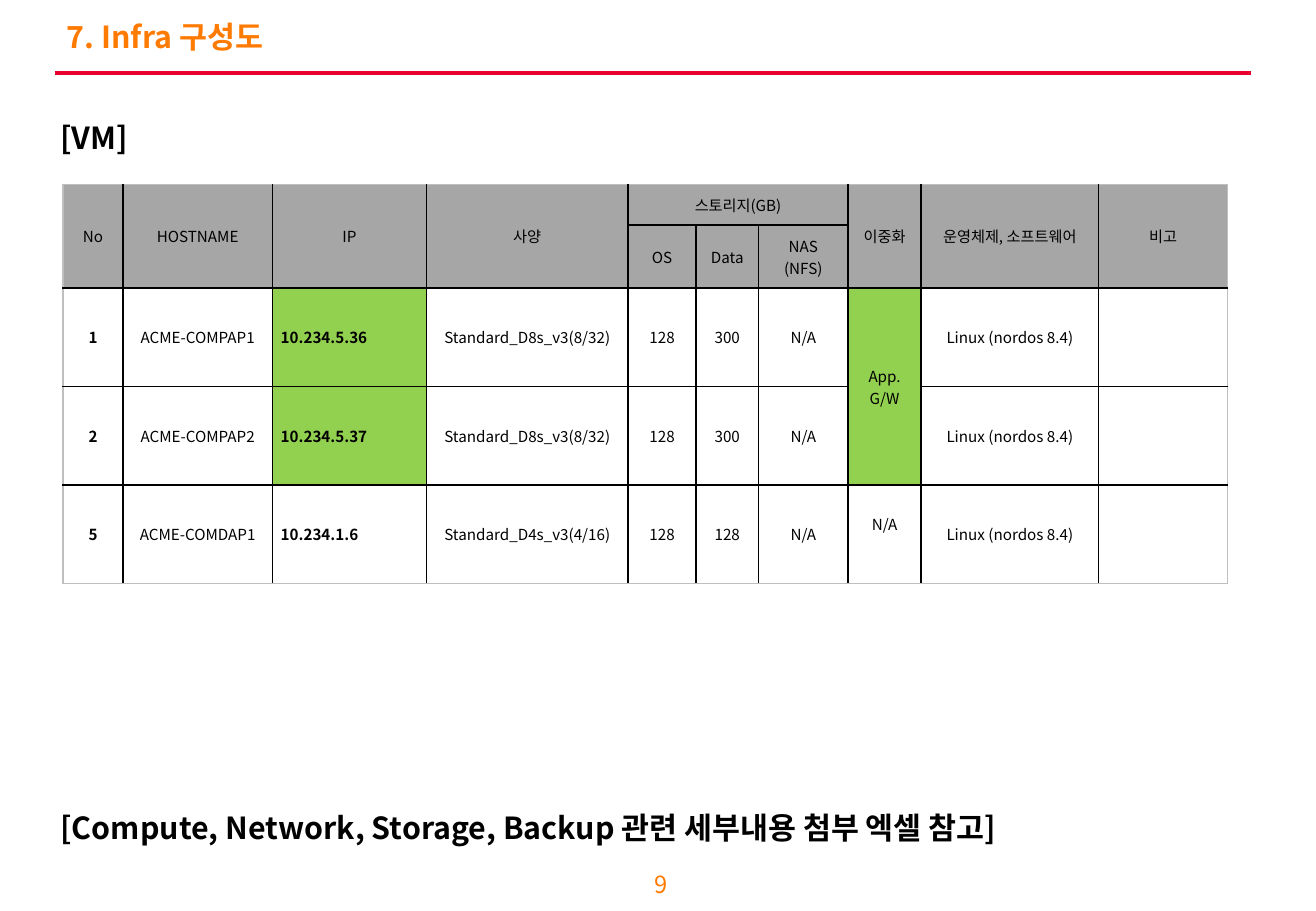
from lxml.etree import SubElement
from pptx import Presentation
from pptx.dml.color import RGBColor
from pptx.enum.shapes import MSO_CONNECTOR as Connector
from pptx.enum.text import MSO_ANCHOR as Anchor, PP_ALIGN as Align
from pptx.oxml.ns import qn
from pptx.util import Pt

FONT = "Noto Sans CJK KR"
ORANGE = RGBColor(0xFF, 0x7A, 0x00)
RED = RGBColor(0xEA, 0x00, 0x2C)
BLACK = RGBColor(0, 0, 0)
WHITE = RGBColor(0xFF, 0xFF, 0xFF)
GRAY = RGBColor(0xA6, 0xA6, 0xA6)
LIGHT_GRAY = RGBColor(0xBF, 0xBF, 0xBF)
GREEN = RGBColor(0x92, 0xD0, 0x50)

SLIDE_SIZE = (780, 540)
# text, (left, top, width, height), size, colour, bold, alignment, wrap
HEADINGS = [
    ("7. Infra 구성도", (32.4, 9.4, 710, 27.4), 18, ORANGE, True, Align.LEFT, True),
    ("[VM]", (28.8, 67, 57.6, 28.8), 18, BLACK, True, Align.LEFT, False),
    ("[Compute, Network, Storage, Backup 관련 세부내용 첨부 엑셀 참고]",
     (28.8, 476, 594.7, 28.8), 18, BLACK, True, Align.LEFT, False),
    ("9", (367.2, 514, 49.7, 22.3), 14, ORANGE, False, Align.CENTER, True),
]
RULE = (32.4, 43.2, 741.6, 43.2)

SERVERS = [
    ["No", "HOSTNAME", "IP", "사양", "스토리지(GB)", "", "", "이중화",
     "운영체제, 소프트웨어", "비고"],
    ["", "", "", "", "OS", "Data", "NAS\n(NFS)", "", "", ""],
    ["1", "ACME-COMPAP1", "10.234.5.36", "Standard_D8s_v3(8/32)", "128", "300",
     "N/A", "App.\nG/W", "Linux (nordos 8.4)", ""],
    ["2", "ACME-COMPAP2", "10.234.5.37", "Standard_D8s_v3(8/32)", "128", "300",
     "N/A", "", "Linux (nordos 8.4)", ""],
    ["5", "ACME-COMDAP1", "10.234.1.6", "Standard_D4s_v3(4/16)", "128", "128",
     "N/A", "N/A", "Linux (nordos 8.4)", ""],
]
TABLE_AT = (37.4, 109.4)
COLUMN_WIDTHS = [35.5, 88.5, 91.4, 119.4, 40.5, 36.9, 53.2, 43.2, 105.2, 76.5]
ROW_HEIGHTS = [24, 37.4, 58.4, 58.4, 58.4]
HEADER_ROWS = 2
NO, IP, REDUNDANCY = 0, 2, 7
STORAGE = range(4, 7)
ACTIVE = {(2, IP), (3, IP), (2, REDUNDANCY), (3, REDUNDANCY)}
LAST = len(SERVERS) - 1


def write(paragraph, text, size, color, bold):
    """Add text as styled runs, with a line break at each newline."""
    for index, line in enumerate(text.split("\n")):
        if index:
            paragraph.add_line_break()
        run = paragraph.add_run()
        run.text = line
        font = run.font
        font.name, font.size, font.bold = FONT, Pt(size), bold
        font.color.rgb = color
        SubElement(run._r.get_or_add_rPr(), qn("a:ea"), typeface=FONT)


def add_heading(slide, text, box, size, color, bold, align, wrap):
    """Place one line of text outside the table."""
    frame = slide.shapes.add_textbox(*map(Pt, box)).text_frame
    frame.word_wrap = wrap
    frame.vertical_anchor = Anchor.MIDDLE
    paragraph = frame.paragraphs[0]
    paragraph.alignment = align
    if color == ORANGE:
        paragraph.line_spacing = 0.9
    write(paragraph, text, size, color, bold)


def add_rule(slide):
    """Draw the red line under the title."""
    rule = slide.shapes.add_connector(Connector.STRAIGHT, *map(Pt, RULE))
    rule.line.color.rgb, rule.line.width = RED, Pt(2.25)
    SubElement(rule._element.spPr, qn("a:effectLst"))


def set_borders(cell, row, column):
    """Draw black lines inside the table and light gray ones around it."""
    outer = {"L": column == 0, "R": column == len(COLUMN_WIDTHS) - 1,
             "T": row == 0, "B": row == LAST}
    properties = cell._tc.get_or_add_tcPr()
    for index, (side, is_outer) in enumerate(outer.items()):
        border = SubElement(properties, qn("a:ln" + side), w=str(Pt(1)))
        fill = SubElement(border, qn("a:solidFill"))
        SubElement(fill, qn("a:srgbClr"), val=str(LIGHT_GRAY if is_outer else BLACK))
        properties.insert(index, border)


def fill_cell(cell, row, column, text):
    """Set the colour, margins, borders and text of one cell."""
    header = row < HEADER_ROWS
    cell.fill.solid()
    cell.fill.fore_color.rgb = (
        GRAY if header else GREEN if (row, column) in ACTIVE else WHITE)
    set_borders(cell, row, column)
    side, edge = (7.2, 3.6) if header or column in (6, REDUNDANCY) else (
        (5, 0) if column in (NO, IP, 8) else (0, 0))
    raised = 13 if (row, column) == (LAST, REDUNDANCY) else 0
    cell.margin_left = cell.margin_right = Pt(side)
    cell.margin_top, cell.margin_bottom = Pt(edge), Pt(edge + raised)
    cell.vertical_anchor = Anchor.MIDDLE
    paragraph = cell.text_frame.paragraphs[0]
    left = column == IP and not header
    paragraph.alignment = Align.LEFT if left else Align.CENTER
    if text:
        write(paragraph, text, 9, BLACK, not header and column in (NO, IP))
    else:
        SubElement(paragraph._p, qn("a:endParaRPr"), sz="900")


def add_servers(slide):
    """Build the server table with its merged headings."""
    size = sum(COLUMN_WIDTHS), sum(ROW_HEIGHTS)
    table = slide.shapes.add_table(
        len(SERVERS), len(COLUMN_WIDTHS), *map(Pt, TABLE_AT + size)).table
    table.first_row = table.horz_banding = False
    for column, width in zip(table.columns, COLUMN_WIDTHS):
        column.width = Pt(width)
    for row, height in zip(table.rows, ROW_HEIGHTS):
        row.height = Pt(height)
    for row, texts in enumerate(SERVERS):
        for column, text in enumerate(texts):
            fill_cell(table.cell(row, column), row, column, text)
    for column in range(len(COLUMN_WIDTHS)):
        if column not in STORAGE:
            table.cell(0, column).merge(table.cell(1, column))
    table.cell(0, STORAGE[0]).merge(table.cell(0, STORAGE[-1]))
    table.cell(2, REDUNDANCY).merge(table.cell(3, REDUNDANCY))


def main():
    """Build the slide and save it."""
    deck = Presentation()
    deck.slide_width, deck.slide_height = map(Pt, SLIDE_SIZE)
    slide = deck.slides.add_slide(deck.slide_layouts[6])
    add_rule(slide)
    add_servers(slide)
    for heading in HEADINGS:
        add_heading(slide, *heading)
    deck.save("out.pptx")


main()
